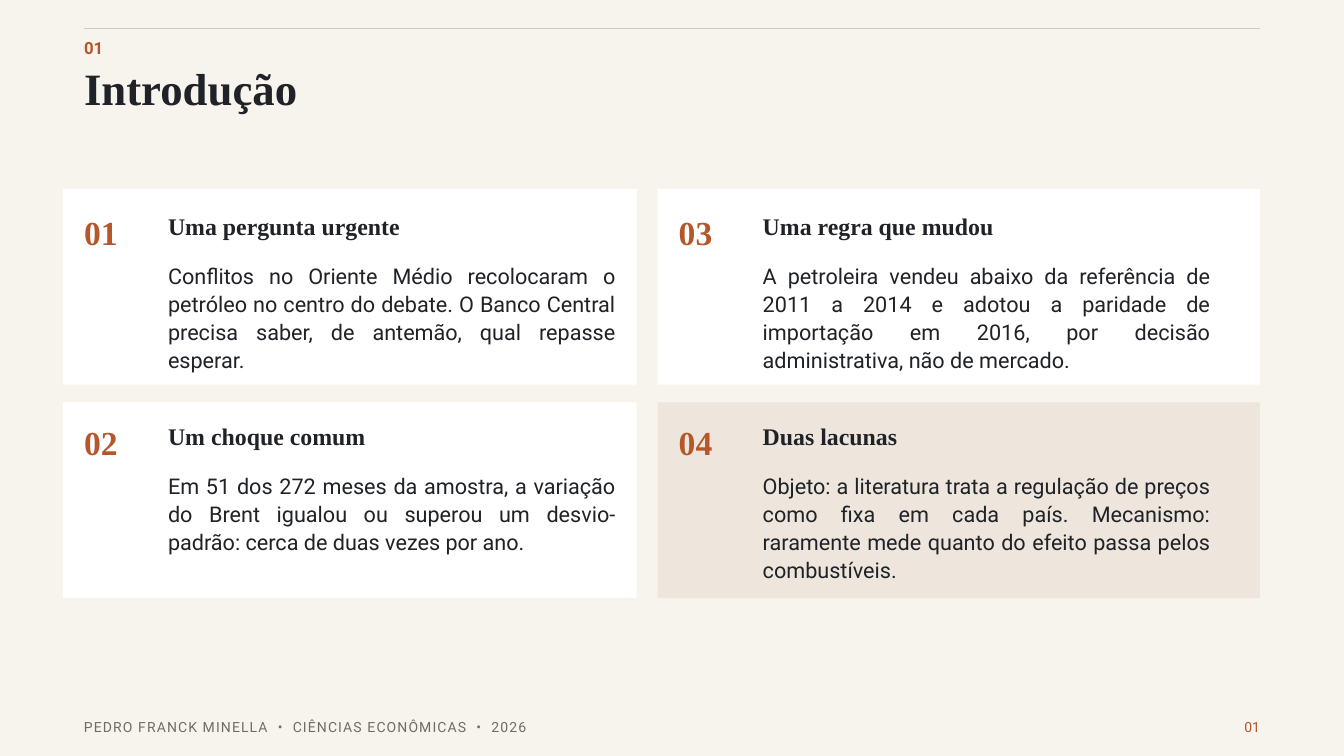
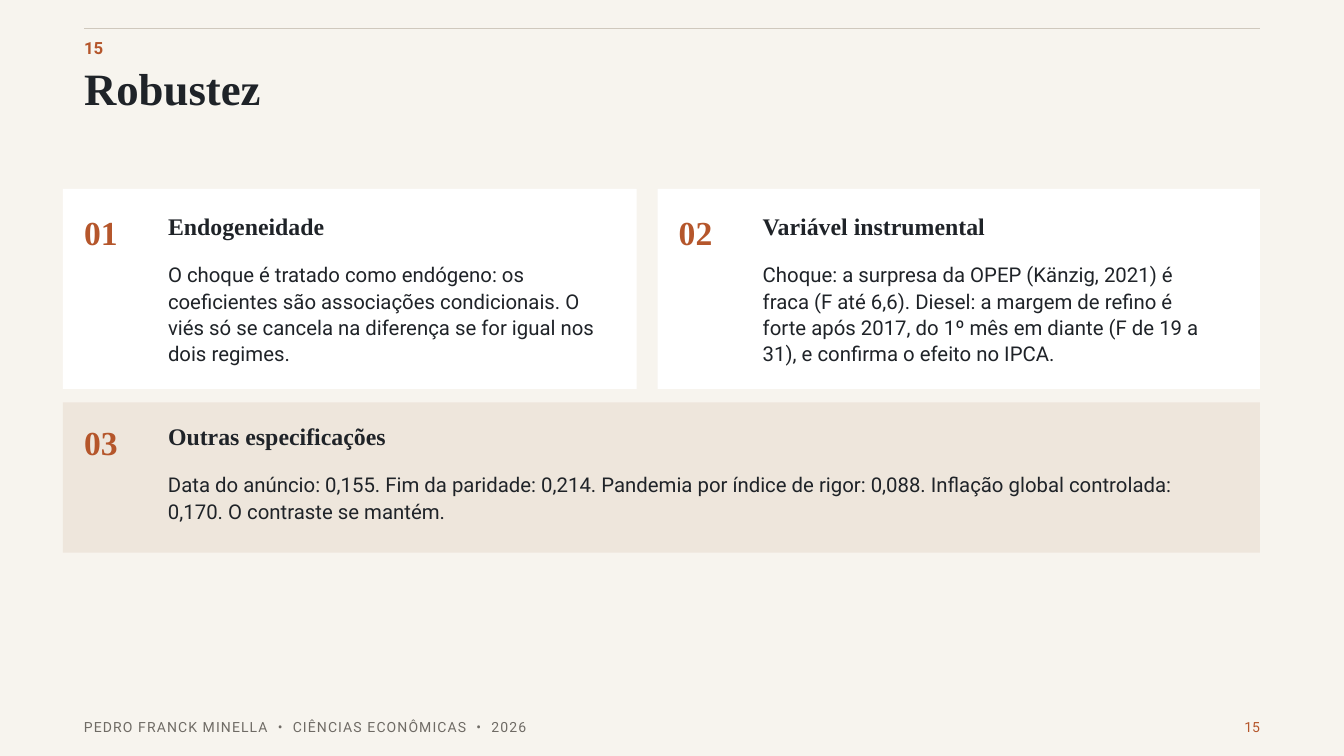
from dataclasses import dataclass

from lxml import etree
from pptx import Presentation
from pptx.dml.color import RGBColor
from pptx.enum.shapes import MSO_CONNECTOR, MSO_SHAPE
from pptx.enum.text import MSO_ANCHOR, MSO_AUTO_SIZE, PP_ALIGN
from pptx.oxml.ns import qn
from pptx.util import Inches, Pt

RECTANGLE, STRAIGHT = MSO_SHAPE.RECTANGLE, MSO_CONNECTOR.STRAIGHT
TOP, NO_AUTOSIZE = MSO_ANCHOR.TOP, MSO_AUTO_SIZE.NONE
LEFT, RIGHT, JUSTIFY = PP_ALIGN.LEFT, PP_ALIGN.RIGHT, PP_ALIGN.JUSTIFY

# Palette and fonts
PAPER, WHITE, SAND = "F7F4EE", "FFFFFF", "EEE6DC"
INK, RUST, GRAY, RULE = "1F2328", "B5562B", "6F6B65", "CFC8BD"
SERIF, SANS = "Times New Roman", "Roboto"

# The slide is a grid of 16 columns by 9 rows of square modules
COLUMNS, ROWS, MODULE = 16, 9, 1.25
MARGIN = 1
RIGHT_EDGE = COLUMNS - MARGIN

# Cards: two columns, two rows
CARD_LEFT, CARD_TOP = 0.75, 2.25
COLUMN_PITCH, ROW_PITCH, TEXT_PITCH = 7.08, 2.54, 2.5
COLUMN_GAP = 0.25
NUMBER_INDENT, TEXT_INDENT = 0.25, 1.25
NUMBER_TOP, HEADING_TOP, BODY_TOP = 2.44, 2.46, 3.1

FOOTER = "PEDRO FRANCK MINELLA  •  CIÊNCIAS ECONÔMICAS  •  2026"


@dataclass(frozen=True)
class Card:
    column: int
    row: int
    heading: str
    body: str
    highlighted: bool = False
    full_width: bool = False


@dataclass(frozen=True)
class Section:
    number: str
    title: str
    cards: tuple[Card, ...]
    row_heights: tuple[float, float]
    body_size: float
    body_leading: float
    body_align: PP_ALIGN


SECTIONS = (
    Section("01", "Introdução", (
        Card(0, 0, "Uma pergunta urgente",
             "Conflitos no Oriente Médio recolocaram o petróleo no centro do debate. "
             "O Banco Central precisa saber, de antemão, qual repasse esperar."),
        Card(0, 1, "Um choque comum",
             "Em 51 dos 272 meses da amostra, a variação do Brent igualou ou superou "
             "um desvio-padrão: cerca de duas vezes por ano."),
        Card(1, 0, "Uma regra que mudou",
             "A petroleira vendeu abaixo da referência de 2011 a 2014 e adotou a "
             "paridade de importação em 2016, por decisão administrativa, não de "
             "mercado."),
        Card(1, 1, "Duas lacunas",
             "Objeto: a literatura trata a regulação de preços como fixa em cada país. "
             "Mecanismo: raramente mede quanto do efeito passa pelos combustíveis.",
             highlighted=True),
    ), (2.33, 2.33), 23.2, 30.2, JUSTIFY),
    Section("15", "Robustez", (
        Card(0, 0, "Endogeneidade",
             "O choque é tratado como endógeno: os coeficientes são associações "
             "condicionais. O viés só se cancela na diferença se for igual nos dois "
             "regimes."),
        Card(1, 0, "Variável instrumental",
             "Choque: a surpresa da OPEP (Känzig, 2021) é fraca (F até 6,6). Diesel: a "
             "margem de refino é forte após 2017, do 1º mês em diante (F de 19 a 31), "
             "e confirma o efeito no IPCA."),
        Card(0, 1, "Outras especificações",
             "Data do anúncio: 0,155. Fim da paridade: 0,214. Pandemia por índice de "
             "rigor: 0,088. Inflação global controlada: 0,170. O contraste se mantém.",
             highlighted=True, full_width=True),
    ), (2.38, 1.79), 21.8, 28.3, LEFT),
)


def grid(modules: float) -> int:
    return Inches(modules * MODULE)


def color(hex_code: str) -> RGBColor:
    return RGBColor.from_string(hex_code)


def format_text(shape, text: str, *, size: float, leading: float, font: str = SANS,
                ink: str = INK, bold: bool = False, align: PP_ALIGN = LEFT,
                tracking: float = 0) -> None:
    frame = shape.text_frame
    frame.word_wrap, frame.auto_size = True, NO_AUTOSIZE
    frame.vertical_anchor = TOP
    frame.margin_left = frame.margin_top = frame.margin_right = frame.margin_bottom = 0
    paragraph = frame.paragraphs[0]
    paragraph.alignment, paragraph.line_spacing = align, Pt(leading)
    paragraph.space_before = Pt(0)
    run = paragraph.add_run()
    run.text = text
    run.font.name, run.font.size, run.font.bold = font, Pt(size), bold
    run.font.color.rgb = color(ink)
    if tracking:
        run._r.get_or_add_rPr().set("spc", str(round(tracking * 100)))


def add_text(slide, text: str, left: float, top: float, width: float, height: float,
             **text_format) -> None:
    box = slide.shapes.add_textbox(grid(left), grid(top), grid(width), grid(height))
    format_text(box, text, **text_format)


def add_header(slide, section: Section) -> None:
    rule = slide.shapes.add_connector(STRAIGHT, grid(MARGIN), grid(0.34),
                                      grid(RIGHT_EDGE), grid(0.34))
    rule.line.color.rgb, rule.line.width = color(RULE), Pt(1.25)
    etree.SubElement(rule._element.spPr, qn("a:effectLst"))
    add_text(slide, section.number, MARGIN, 0.41, 0.75, 0.26,
             size=18, leading=25.2, ink=RUST, bold=True)
    title = slide.shapes.title
    title.left, title.top = grid(MARGIN), grid(0.82)
    title.width, title.height = grid(12.5), grid(0.58)
    format_text(title, section.title, size=48, leading=49, font=SERIF, bold=True)


def add_footer(slide, section: Section) -> None:
    add_text(slide, FOOTER, MARGIN, 8.52, 10, 0.22,
             size=15, leading=21, ink=GRAY, tracking=1.2)
    add_text(slide, section.number, RIGHT_EDGE - 0.83, 8.52, 0.83, 0.22,
             size=15, leading=21, ink=RUST, align=RIGHT)


def add_card(slide, card: Card, number: int, section: Section) -> None:
    left = CARD_LEFT + card.column * COLUMN_PITCH
    reaches_edge = card.full_width or card.column == 1
    right = RIGHT_EDGE if reaches_edge else left + COLUMN_PITCH - COLUMN_GAP
    panel = slide.shapes.add_shape(
        RECTANGLE, grid(left), grid(CARD_TOP + card.row * ROW_PITCH),
        grid(right - left), grid(section.row_heights[card.row]))
    panel.shadow.inherit = False
    panel.fill.solid()
    panel.fill.fore_color.rgb = color(SAND if card.highlighted else WHITE)
    panel.line.fill.background()

    drop = card.row * TEXT_PITCH
    add_text(slide, f"{number:02}", left + NUMBER_INDENT, NUMBER_TOP + drop, 0.83, 0.54,
             size=36, leading=50.4, font=SERIF, ink=RUST, bold=True)
    add_text(slide, card.heading, left + TEXT_INDENT, HEADING_TOP + drop, 5, 0.38,
             size=25.5, leading=35.7, font=SERIF, bold=True)
    add_text(slide, card.body, left + TEXT_INDENT, BODY_TOP + drop,
             12.5 if card.full_width else 5.33, 1,
             size=section.body_size, leading=section.body_leading,
             align=section.body_align)


def main() -> None:
    deck = Presentation()
    deck.slide_width, deck.slide_height = grid(COLUMNS), grid(ROWS)
    background = deck.slide_master.background.fill
    background.solid()
    background.fore_color.rgb = color(PAPER)
    title_only = deck.slide_layouts.get_by_name("Title Only")
    for section in SECTIONS:
        slide = deck.slides.add_slide(title_only)
        add_header(slide, section)
        for number, card in enumerate(section.cards, start=1):
            add_card(slide, card, number, section)
        add_footer(slide, section)
    deck.save("out.pptx")


if __name__ == "__main__":
    main()
